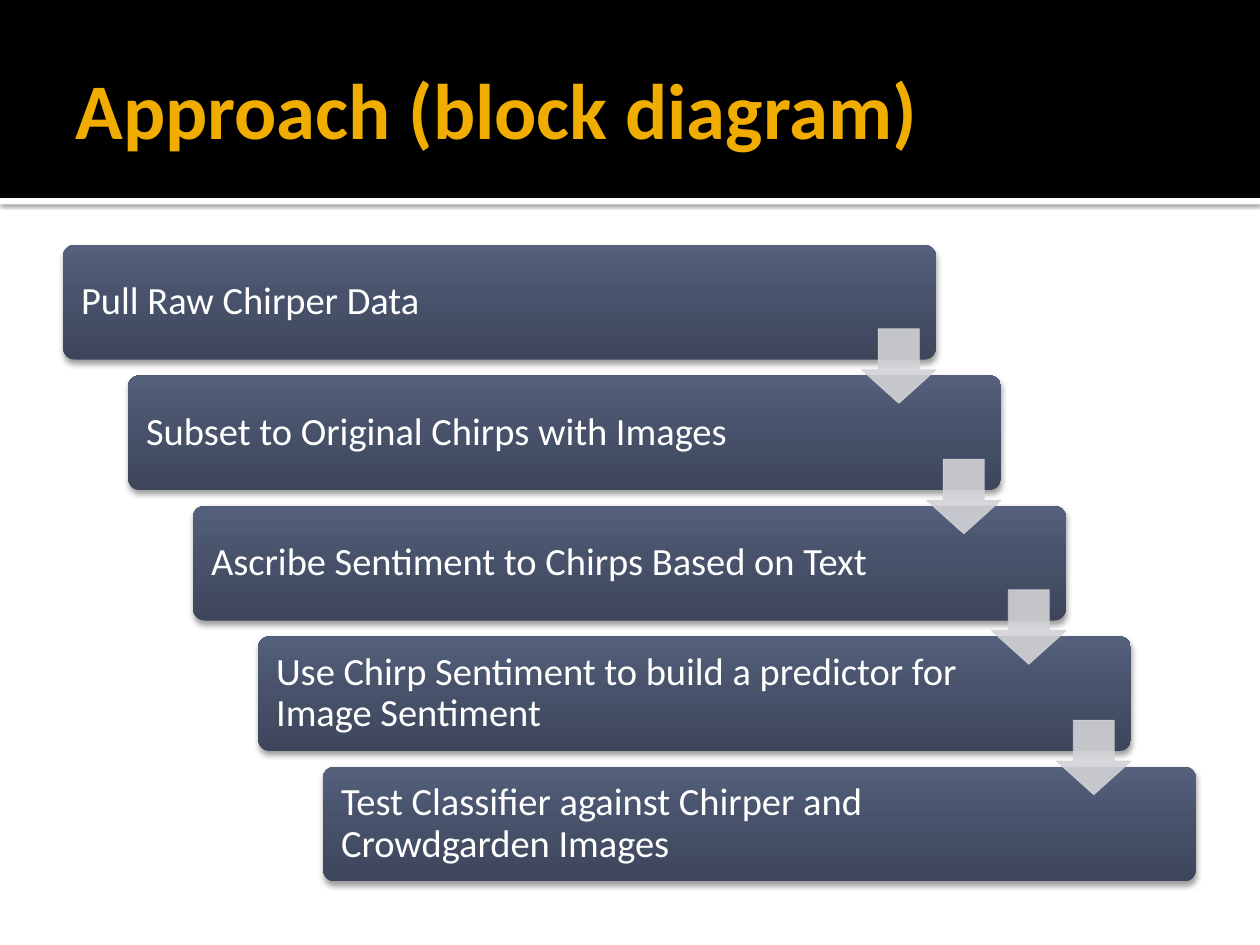
from dataclasses import dataclass

from lxml.etree import SubElement
from pptx import Presentation
from pptx.dml.color import RGBColor
from pptx.enum.shapes import MSO_SHAPE
from pptx.enum.text import MSO_ANCHOR, PP_ALIGN
from pptx.oxml.ns import qn
from pptx.util import Cm, Pt

BLACK = RGBColor(0x00, 0x00, 0x00)
WHITE = RGBColor(0xFF, 0xFF, 0xFF)
GOLD = RGBColor(0xF0, 0xAD, 0x00)
SILVER = RGBColor(0xD2, 0xD3, 0xD6)
DARK = RGBColor(0x3D, 0x46, 0x5B)
SLATE = RGBColor(0x48, 0x52, 0x6B)
LIGHT = RGBColor(0x54, 0x60, 0x7C)
FADE = ((0, DARK), (55, SLATE), (100, LIGHT))

# Lengths in centimetres
LEFT, TOP = 1.27, 4.94
WIDE, HIGH = 17.6, 2.31
STEP_X, STEP_Y = 1.31, 2.63
ARROW = 1.5
DROP = 1.69

STEPS = (
    "Pull Raw Chirper Data",
    "Subset to Original Chirps with Images",
    "Ascribe Sentiment to Chirps Based on Text",
    "Use Chirp Sentiment to build a predictor for Image Sentiment",
    "Test Classifier against Chirper and Crowdgarden Images",
)


@dataclass
class Box:
    x: float
    y: float
    w: float
    h: float


@dataclass
class Shade:
    alpha: int
    blur: float
    dist: float


def draw(slide, kind: MSO_SHAPE, box: Box, fill: RGBColor | None = None):
    """Add a preset shape with no line and no shadow."""
    shape = slide.shapes.add_shape(
        kind, Cm(box.x), Cm(box.y), Cm(box.w), Cm(box.h))
    shape.shadow.inherit = False
    shape.line.fill.background()
    if fill is not None:
        shape.fill.solid()
        shape.fill.fore_color.rgb = fill
    return shape


def tint(node, color: RGBColor, alpha: int = 100) -> None:
    """Add a colour with its opacity in percent below an XML node."""
    rgb = SubElement(node, qn("a:srgbClr"), val=str(color))
    if alpha < 100:
        SubElement(rgb, qn("a:alpha"), val=str(alpha * 1000))


def cast(shape, shade: Shade) -> None:
    """Give the shape a soft shadow straight below it."""
    effects = shape.element.spPr.find(qn("a:effectLst"))
    outer = SubElement(
        effects, qn("a:outerShdw"), blurRad=str(Pt(shade.blur)),
        dist=str(Pt(shade.dist)), dir="5400000", rotWithShape="0")
    tint(outer, BLACK, shade.alpha)


def blend(shape) -> None:
    """Fill the shape from dark at the bottom to light at the top."""
    shape.fill.gradient()
    shape.fill.gradient_angle = 90
    stops = shape.element.spPr.find(qn("a:gradFill")).find(qn("a:gsLst"))
    stops.clear()
    for place, color in FADE:
        tint(SubElement(stops, qn("a:gs"), pos=str(place * 1000)), color)


def write(shape, text: str, *, size: float, color: RGBColor,
          bold: bool = False, inset: tuple = (0.25, 0.13, 0.13, 0.13),
          space: float = 1.0) -> None:
    frame = shape.text_frame
    frame.word_wrap = True
    frame.vertical_anchor = MSO_ANCHOR.MIDDLE
    (frame.margin_left, frame.margin_top,
     frame.margin_right, frame.margin_bottom) = map(Cm, inset)
    para = frame.paragraphs[0]
    para.alignment = PP_ALIGN.LEFT
    para.line_spacing = space
    run = para.add_run()
    run.text = text
    font = run.font
    font.name, font.size, font.bold = "Calibri", Pt(size), bold
    font.color.rgb = color


def add_head(slide) -> None:
    rule = draw(slide, MSO_SHAPE.RECTANGLE, Box(0, 3.99, 25.4, 0.13), WHITE)
    cast(rule, Shade(60, 2.5, 0.8))
    draw(slide, MSO_SHAPE.RECTANGLE, Box(0, 0, 25.4, 3.99), BLACK)
    title = slide.shapes.title
    title.left, title.top = Cm(1.27), Cm(0.43)
    title.width, title.height = Cm(22.86), Cm(3.48)
    write(title, "Approach (block diagram)", size=45, color=GOLD, bold=True)
    title.element.getparent().append(title.element)  # in front of the band


def add_step(slide, box: Box, text: str) -> None:
    shape = draw(slide, MSO_SHAPE.ROUNDED_RECTANGLE, box)
    shape.adjustments[0] = 0.1
    blend(shape)
    cast(shape, Shade(38, 3.1, 2))
    write(shape, text, size=22, color=WHITE,
          inset=(0.3, 0.23, 3.1, 0.23), space=0.9)


def add_arrow(slide, box: Box) -> None:
    shape = draw(slide, MSO_SHAPE.DOWN_ARROW, box, SILVER)
    shape.adjustments[0], shape.adjustments[1] = 0.55, 0.45
    shape.line.color.rgb = SILVER
    shape.line.width = Pt(0.5)
    for rgb in shape.element.spPr.iter(qn("a:srgbClr")):
        SubElement(rgb, qn("a:alpha"), val="90000")


def main() -> None:
    deck = Presentation()
    deck.slide_width, deck.slide_height = Cm(25.4), Cm(19.05)
    slide = deck.slides.add_slide(deck.slide_layouts[5])
    add_head(slide)
    boxes = [Box(LEFT + i * STEP_X, TOP + i * STEP_Y, WIDE, HIGH)
             for i in range(len(STEPS))]
    for box, text in zip(boxes, STEPS):
        add_step(slide, box, text)
    for box in boxes[:-1]:
        add_arrow(slide, Box(box.x + WIDE - ARROW, box.y + DROP, ARROW, ARROW))
    deck.save("out.pptx")


if __name__ == "__main__":
    main()
